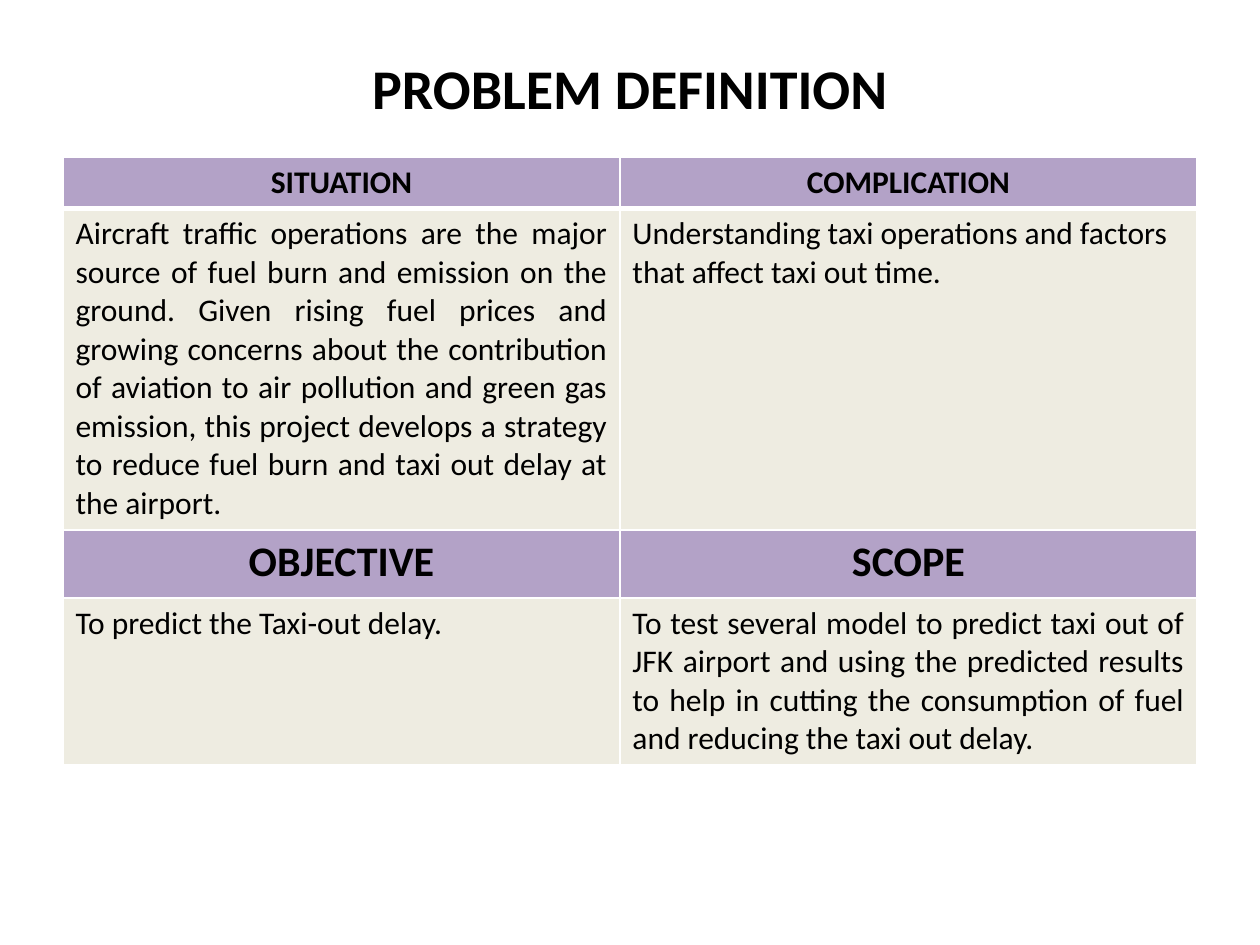
from dataclasses import dataclass

from lxml import etree
from pptx import Presentation
from pptx.dml.color import RGBColor
from pptx.enum.text import MSO_ANCHOR, PP_ALIGN as AL
from pptx.oxml.ns import qn
from pptx.util import Inches, Pt


@dataclass(frozen=True)
class Theme:
    font: str = "Calibri"
    ink: str = "000000"
    header: str = "B3A2C7"
    body: str = "EEECE1"
    rule: str = "FFFFFF"
    title_size: int = 32
    large_size: int = 24
    text_size: int = 18


THEME = Theme()
COLUMN_WIDTHS = (4.42, 4.58)
ROW_HEIGHTS = (0.4, 2.55, 0.54, 1.32)
TOP_HEADER = dict(fill=THEME.header, bold=True, align=AL.CENTER, bottom=3)
LOWER_HEADER = dict(fill=THEME.header, bold=True, align=AL.CENTER, size=THEME.large_size)
JUSTIFIED = dict(align=AL.JUSTIFY)

CELLS = (
    (("SITUATION", TOP_HEADER), ("COMPLICATION", TOP_HEADER)),
    (
        ("Aircraft traffic operations are the major source of fuel burn and "
         "emission on the ground. Given rising fuel prices and growing concerns "
         "about the contribution of aviation to air pollution and green gas "
         "emission, this project develops a strategy to reduce fuel burn and "
         "taxi out delay at the airport.", JUSTIFIED),
        ("Understanding taxi operations and factors that affect taxi out time.", {}),
    ),
    (("OBJECTIVE", LOWER_HEADER), ("SCOPE", LOWER_HEADER)),
    (
        ("To predict the Taxi-out delay.", {}),
        ("To test several model to predict taxi out of JFK airport and using the "
         "predicted results to help in cutting the consumption of fuel and "
         "reducing the taxi out delay.", JUSTIFIED),
    ),
)


def write_text(tf, text, size=THEME.text_size, bold=False, align=AL.LEFT):
    p = tf.paragraphs[0]
    p.alignment = align
    r = p.add_run()
    r.text = text
    r.font.name = THEME.font
    r.font.size = Pt(size)
    r.font.bold = bold
    r.font.color.rgb = RGBColor.from_string(THEME.ink)


def set_borders(cell, bottom):
    tc_pr = cell._tc.get_or_add_tcPr()
    widths = {"lnL": 1, "lnR": 1, "lnT": 1, "lnB": bottom}
    for i, (side, width) in enumerate(widths.items()):
        ln = etree.Element(qn(f"a:{side}"), w=str(Pt(width)))
        fill = etree.SubElement(ln, qn("a:solidFill"))
        etree.SubElement(fill, qn("a:srgbClr"), val=THEME.rule)
        tc_pr.insert(i, ln)


def fill_cell(cell, text, fill=THEME.body, bottom=1, **text_format):
    cell.fill.solid()
    cell.fill.fore_color.rgb = RGBColor.from_string(fill)
    set_borders(cell, bottom)
    write_text(cell.text_frame, text, **text_format)


def add_title(slide, text):
    sp = slide.shapes.title
    sp.left, sp.top = Inches(0.5), Inches(0.3)
    sp.width, sp.height = Inches(9), Inches(0.78)
    tf = sp.text_frame
    tf.vertical_anchor = MSO_ANCHOR.MIDDLE
    tf.margin_left = tf.margin_right = Inches(0.13)
    tf.margin_top = tf.margin_bottom = Inches(0.07)
    write_text(tf, text, size=THEME.title_size, bold=True, align=AL.CENTER)


def add_problem_table(slide):
    table = slide.shapes.add_table(
        len(ROW_HEIGHTS), len(COLUMN_WIDTHS), Inches(0.5), Inches(1.25),
        Inches(sum(COLUMN_WIDTHS)), Inches(sum(ROW_HEIGHTS))).table
    for column, width in zip(table.columns, COLUMN_WIDTHS):
        column.width = Inches(width)
    for row, height, contents in zip(table.rows, ROW_HEIGHTS, CELLS):
        row.height = Inches(height)
        for cell, (text, cell_format) in zip(row.cells, contents):
            fill_cell(cell, text, **cell_format)


def main():
    prs = Presentation()
    prs.slide_width, prs.slide_height = Inches(10), Inches(7.5)
    slide = prs.slides.add_slide(prs.slide_layouts[5])
    add_title(slide, "PROBLEM DEFINITION")
    add_problem_table(slide)
    prs.save("out.pptx")


if __name__ == "__main__":
    main()
